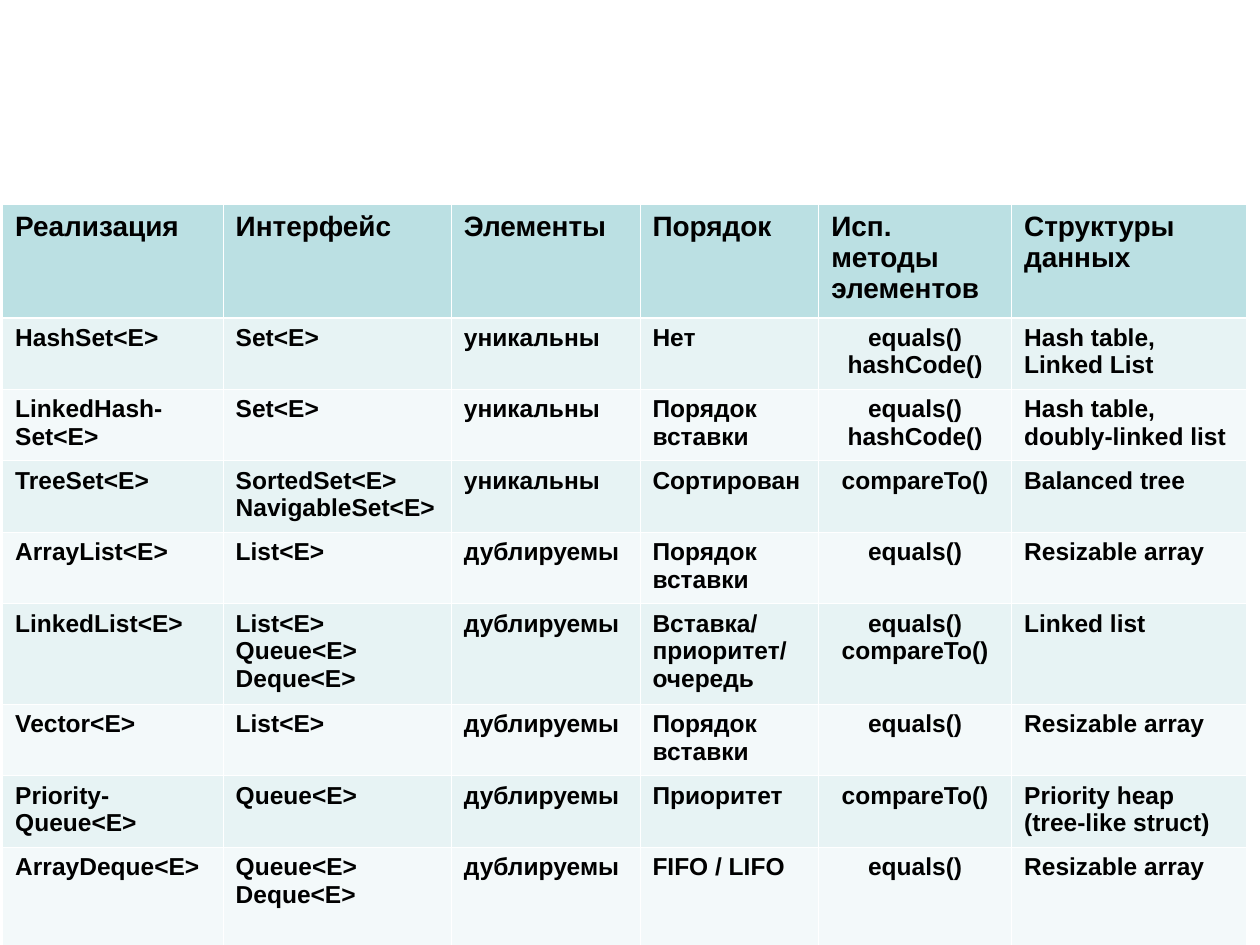
from lxml import etree
from pptx import Presentation
from pptx.dml.color import RGBColor
from pptx.enum.text import PP_ALIGN
from pptx.oxml.ns import qn
from pptx.util import Pt

LEFT, CENTER = PP_ALIGN.LEFT, PP_ALIGN.CENTER
FONT = "Arial"
COLORS = {
    "text": "000000",
    "header": "BBE0E3",
    "odd": "E7F3F4",
    "even": "F3F9FA",
    "border": "FFFFFF",
}
THIN, THICK = 0.45, 1.47
METHODS_COL = 4
COL_WIDTHS = [126, 130.4, 107.8, 102.2, 110.2, 134.2]
ROW_HEIGHTS = [64.6] + [40.86] * 4 + [57.4] + [40.86] * 2 + [57.4]

# A line break inside a cell starts a new paragraph.
ROWS = [
    ["Реализация", "Интерфейс", "Элементы", "Порядок",
     "Исп. методы элементов", "Структуры данных"],
    ["HashSet<E>", "Set<E>", "уникальны", "Нет",
     "equals() hashCode()", "Hash table, Linked List"],
    ["LinkedHash-\nSet<E>", "Set<E>", "уникальны", "Порядок вставки",
     "equals()\nhashCode()", "Hash table,\ndoubly-linked list"],
    ["TreeSet<E>", "SortedSet<E>\nNavigableSet<E>", "уникальны", "Сортирован",
     "compareTo()", "Balanced tree"],
    ["ArrayList<E>", "List<E>", "дублируемы", "Порядок вставки",
     "equals()", "Resizable array"],
    ["LinkedList<E>", "List<E>\nQueue<E>\nDeque<E>", "дублируемы",
     "Вставка/ приоритет/\nочередь", "equals()\ncompareTo()", "Linked list"],
    ["Vector<E>", "List<E>", "дублируемы", "Порядок вставки",
     "equals()", "Resizable array"],
    ["Priority-\nQueue<E>", "Queue<E>", "дублируемы", "Приоритет",
     "compareTo()", "Priority heap\n(tree-like struct)"],
    ["ArrayDeque<E>", "Queue<E>\nDeque<E>", "дублируемы", "FIFO / LIFO",
     "equals()", "Resizable array"],
]


def rgb(name):
    return RGBColor.from_string(COLORS[name])


def set_borders(cell, top, bottom):
    """Draw the cell's four edges; must run before the cell is filled."""
    tc_pr = cell._tc.get_or_add_tcPr()
    for tag, width in (("lnL", THIN), ("lnR", THIN), ("lnT", top), ("lnB", bottom)):
        ln = etree.SubElement(tc_pr, qn(f"a:{tag}"), w=str(int(Pt(width))))
        fill = etree.SubElement(ln, qn("a:solidFill"))
        etree.SubElement(fill, qn("a:srgbClr"), val=COLORS["border"])


def format_cell(cell, text, fill, size, align):
    cell.fill.solid()
    cell.fill.fore_color.rgb = rgb(fill)
    cell.text = text
    for p in cell.text_frame.paragraphs:
        p.alignment = align
        p.font.name = FONT
        p.font.size = Pt(size)
        p.font.bold = True
        p.font.color.rgb = rgb("text")


def add_collections_table(slide, left, top):
    table = slide.shapes.add_table(
        len(ROWS), len(COL_WIDTHS), Pt(left), Pt(top),
        Pt(sum(COL_WIDTHS)), Pt(sum(ROW_HEIGHTS))).table
    for column, width in zip(table.columns, COL_WIDTHS):
        column.width = Pt(width)
    for i, (texts, height) in enumerate(zip(ROWS, ROW_HEIGHTS)):
        table.rows[i].height = Pt(height)
        is_header = i == 0
        fill = "header" if is_header else "odd" if i % 2 else "even"
        for j, text in enumerate(texts):
            cell = table.cell(i, j)
            set_borders(cell, top=THICK if i == 1 else THIN,
                        bottom=THICK if is_header else THIN)
            centered = j == METHODS_COL and not is_header
            format_cell(cell, text, fill, 16 if is_header else 14,
                        CENTER if centered else LEFT)


def main():
    prs = Presentation()
    prs.slide_width, prs.slide_height = Pt(720), Pt(540)
    slide = prs.slides.add_slide(prs.slide_layouts[6])
    add_collections_table(slide, 1.5, 117)
    prs.save("out.pptx")


if __name__ == "__main__":
    main()
